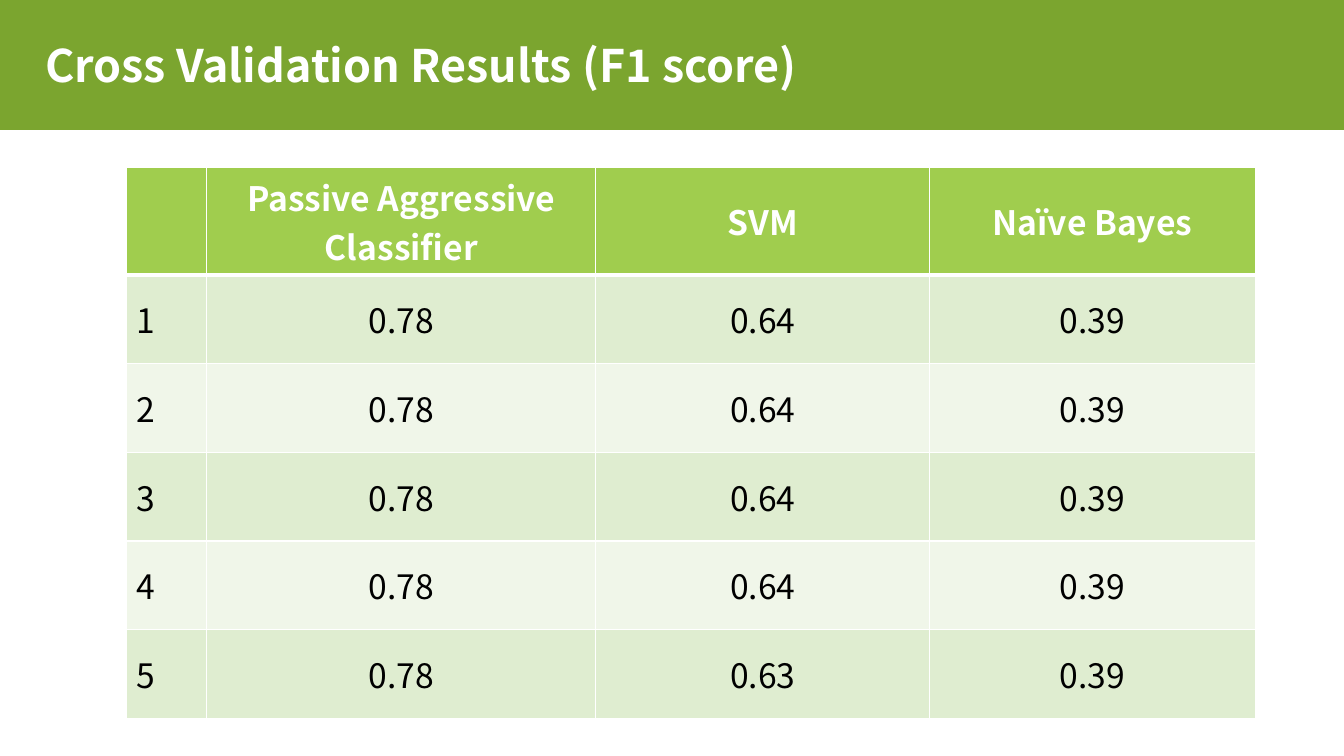
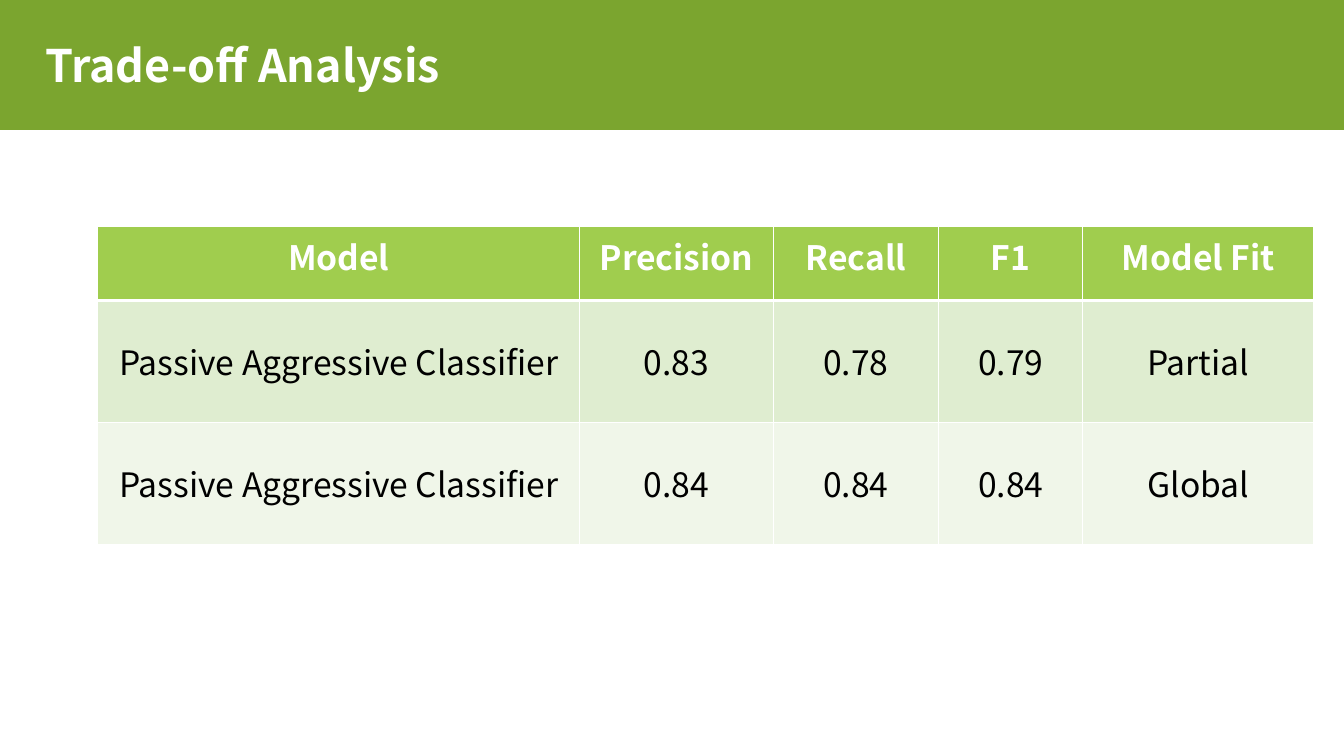
from dataclasses import dataclass

from lxml import etree
from pptx import Presentation
from pptx.dml.color import RGBColor
from pptx.enum import shapes, text
from pptx.oxml import ns
from pptx.util import Inches, Pt


@dataclass(frozen=True)
class Theme:
    """Colours, font and type sizes of the deck."""
    font: str = "Noto Sans CJK SC"
    band: str = "7BA52F"
    white: str = "FFFFFF"
    black: str = "000000"
    header: str = "A0CD4E"
    stripes: tuple = ("DFEDD0", "F0F6E9")
    title_size: int = 32
    cell_size: int = 24


def paint(fill, color):
    """Give a fill one solid colour."""
    fill.solid()
    fill.fore_color.rgb = RGBColor.from_string(color)


def write(tf, content, *, font, size, color, bold=False,
          align=text.PP_ALIGN.LEFT, spacing=None):
    """Write one formatted paragraph into a text frame."""
    p = tf.paragraphs[0]
    p.alignment = align
    if spacing:
        p.line_spacing = spacing
    r = p.add_run()
    r.text = content
    r.font.name = font
    r.font.size = Pt(size)
    r.font.bold = bold
    r.font.color.rgb = RGBColor.from_string(color)


def set_borders(cell, color, **widths):
    """Draw the borders of a cell, with widths in points by side."""
    tc_pr = cell._tc.get_or_add_tcPr()
    for i, side in enumerate("LRTB"):
        ln = etree.Element(ns.qn(f"a:ln{side}"), w=str(Pt(widths.get(side, 1))))
        fill = etree.SubElement(ln, ns.qn("a:solidFill"))
        etree.SubElement(fill, ns.qn("a:srgbClr"), val=color)
        tc_pr.insert(i, ln)


class Deck:
    """Holds the theme and the current slide."""

    def __init__(self, theme):
        """Start a widescreen deck on the band colour."""
        self.theme = theme
        self.prs = Presentation()
        self.prs.slide_width = Inches(13.33)
        self.prs.slide_height = Inches(7.5)
        paint(self.prs.slide_master.background.fill, theme.band)

    def slide(self, title):
        """Add a slide with the white panel and a title in the band."""
        self.s = self.prs.slides.add_slide(self.prs.slide_layouts[5])
        self.panel()
        self.title(title)

    def panel(self):
        """Cover the area below the title band in white."""
        top = Inches(1.29)
        sp = self.s.shapes.add_shape(
            shapes.MSO_SHAPE.RECTANGLE, 0, top,
            self.prs.slide_width, self.prs.slide_height - top)
        sp.shadow.inherit = False
        sp.line.fill.background()
        paint(sp.fill, self.theme.white)

    def title(self, content):
        """Place and format the title placeholder."""
        sp = self.s.shapes.title
        sp.left, sp.top = Inches(0.35), Inches(0.28)
        sp.width, sp.height = Inches(12.6), Inches(0.79)
        tf = sp.text_frame
        tf.auto_size = text.MSO_AUTO_SIZE.NONE
        tf.vertical_anchor = text.MSO_ANCHOR.MIDDLE
        write(tf, content, font=self.theme.font, size=self.theme.title_size,
              color=self.theme.white, bold=True, spacing=0.9)

    def table(self, rows, left, top, widths, heights, *,
              label_align=text.PP_ALIGN.CENTER,
              header_anchor=text.MSO_ANCHOR.MIDDLE):
        """Add a striped table whose first row is the header."""
        t = self.theme
        table = self.s.shapes.add_table(
            len(rows), len(widths), Inches(left), Inches(top),
            Inches(sum(widths)), Inches(sum(heights))).table
        for column, width in zip(table.columns, widths):
            column.width = Inches(width)
        for i, (row, height) in enumerate(zip(rows, heights)):
            table.rows[i].height = Inches(height)
            is_header = i == 0
            for j, content in enumerate(row):
                cell = table.cell(i, j)
                paint(cell.fill, t.header if is_header else t.stripes[(i - 1) % 2])
                set_borders(cell, t.white, T=3 if i == 1 else 1,
                            B=3 if is_header else 1)
                cell.vertical_anchor = (header_anchor if is_header
                                        else text.MSO_ANCHOR.MIDDLE)
                if content.startswith("0."):
                    cell.margin_left = cell.margin_right = Inches(0.04)
                    cell.margin_top = cell.margin_bottom = Inches(0.03)
                if content:
                    is_label = j == 0 and not is_header
                    write(cell.text_frame, content, font=t.font, size=t.cell_size,
                          color=t.white if is_header else t.black, bold=is_header,
                          align=label_align if is_label else text.PP_ALIGN.CENTER)


def main():
    """Build and save the deck."""
    deck = Deck(Theme())

    deck.slide("Cross Validation Results (F1 score)")
    svm_scores = ["0.64", "0.64", "0.64", "0.64", "0.63"]
    folds = [[str(n), "0.78", svm, "0.39"] for n, svm in enumerate(svm_scores, 1)]
    deck.table(
        [["", "Passive Aggressive Classifier", "SVM", "Naïve Bayes"], *folds],
        1.25, 1.66, [0.8, 3.86, 3.31, 3.23], [0.88] * 6,
        label_align=text.PP_ALIGN.JUSTIFY)

    deck.slide("Trade-off Analysis")
    deck.table(
        [["Model", "Precision", "Recall", "F1", "Model Fit"],
         ["Passive Aggressive Classifier", "0.83", "0.78", "0.79", "Partial"],
         ["Passive Aggressive Classifier", "0.84", "0.84", "0.84", "Global"]],
        0.97, 2.25, [4.78, 1.92, 1.64, 1.43, 2.29], [0.73, 1.21, 1.21],
        header_anchor=text.MSO_ANCHOR.TOP)

    deck.prs.save("out.pptx")


if __name__ == "__main__":
    main()
